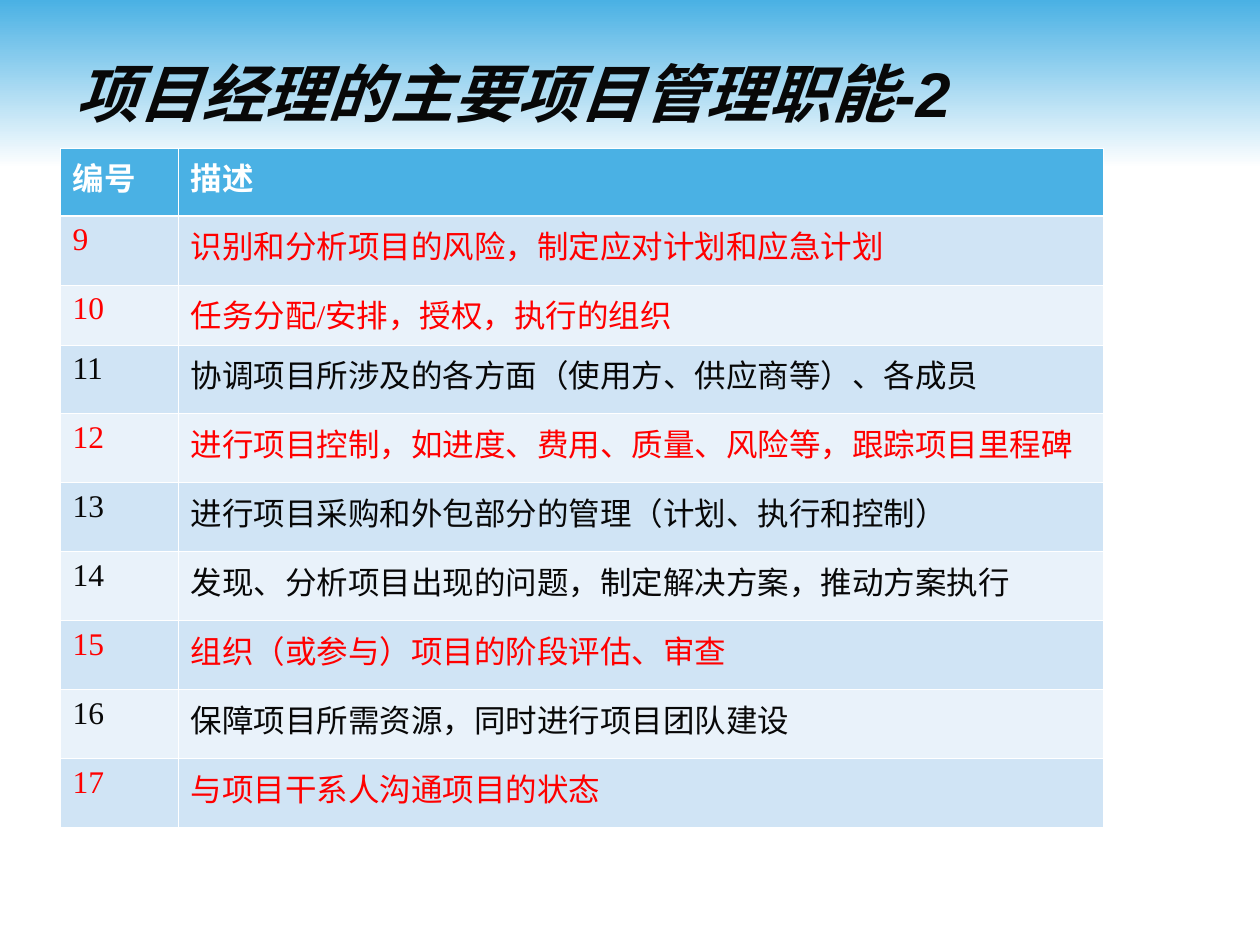
"""Build a slide listing the project manager's management duties 9 to 17."""
import lxml.etree
import pptx
import pptx.dml.color
import pptx.enum.shapes
import pptx.enum.text
import pptx.oxml.ns
import pptx.util

RGB = pptx.dml.color.RGBColor
BLUE = RGB(0x4A, 0xB1, 0xE4)
WHITE = RGB(0xFF, 0xFF, 0xFF)
BLACK = RGB(0x08, 0x08, 0x08)
RED = RGB(0xFF, 0x00, 0x00)
PALE = RGB(0xE9, 0xF2, 0xFA)
MID = RGB(0xD0, 0xE4, 0xF5)
SCALE = 914400 / 126


def px(*nums):
    return [round(num * SCALE) for num in nums]


def style(font, color, form):
    font.color.rgb = color
    for key, value in form.items():
        setattr(font, key, value)


deck = pptx.Presentation()
deck.slide_width, deck.slide_height = px(1260, 945)
slide = deck.slides.add_slide(deck.slide_layouts[5])
shapes = slide.shapes

title = shapes.title
title.left, title.top, title.width, title.height = px(63, 32, 1134, 120)
title.text_frame.text = "项目经理的主要项目管理职能-2"
title.text_frame.vertical_anchor = pptx.enum.text.MSO_ANCHOR.MIDDLE
head = title.text_frame.paragraphs[0]
head.alignment = pptx.enum.text.PP_ALIGN.LEFT
style(head.font, BLACK, {"name": "Arial", "size": pptx.util.Pt(36), "bold": True, "italic": True})

band = shapes.add_shape(pptx.enum.shapes.MSO_SHAPE.RECTANGLE, *px(0, 0, 1260, 168))
band.shadow.inherit = False
band.line.fill.background()
band.fill.gradient()
band.fill.gradient_angle = 270
for stop, color, place in zip(band.fill.gradient_stops, (BLUE, WHITE), (0, 1)):
    stop.color.rgb = color
    stop.position = place
shapes._spTree.insert(2, band._element)

duties = [
    ("编号", "描述", WHITE),
    ("9", "识别和分析项目的风险，制定应对计划和应急计划", RED),
    ("10", "任务分配/安排，授权，执行的组织", RED),
    ("11", "协调项目所涉及的各方面（使用方、供应商等）、各成员", BLACK),
    ("12", "进行项目控制，如进度、费用、质量、风险等，跟踪项目里程碑", RED),
    ("13", "进行项目采购和外包部分的管理（计划、执行和控制）", BLACK),
    ("14", "发现、分析项目出现的问题，制定解决方案，推动方案执行", BLACK),
    ("15", "组织（或参与）项目的阶段评估、审查", RED),
    ("16", "保障项目所需资源，同时进行项目团队建设", BLACK),
    ("17", "与项目干系人沟通项目的状态", RED),
]
wides = px(118, 925)
highs = px(68, 69, 60, *[69] * 7)
table = shapes.add_table(len(duties), 2, *px(60, 148), sum(wides), sum(highs)).table
for col, wide in zip(table.columns, wides):
    col.width = wide
for row, high in zip(table.rows, highs):
    row.height = high

tag = pptx.oxml.ns.qn
for num, (label, text, color) in enumerate(duties):
    fill = BLUE if num == 0 else MID if num % 2 else PALE
    for cell, words in zip(table.rows[num].cells, (label, text)):
        cell.text = words
        form = {"name": "Times New Roman", "size": pptx.util.Pt(18), "bold": num == 0}
        style(cell.text_frame.paragraphs[0].font, color, form)
        props = cell._tc.get_or_add_tcPr()
        for side in "LRTB":
            thick = (num, side) in ((0, "B"), (1, "T"))
            width = pptx.util.Pt(1.47 if thick else 0.45)
            line = lxml.etree.SubElement(props, tag("a:ln" + side), w=str(width))
            solid = lxml.etree.SubElement(line, tag("a:solidFill"))
            lxml.etree.SubElement(solid, tag("a:srgbClr"), val=str(WHITE))
        cell.fill.solid()
        cell.fill.fore_color.rgb = fill

deck.save("out.pptx")
